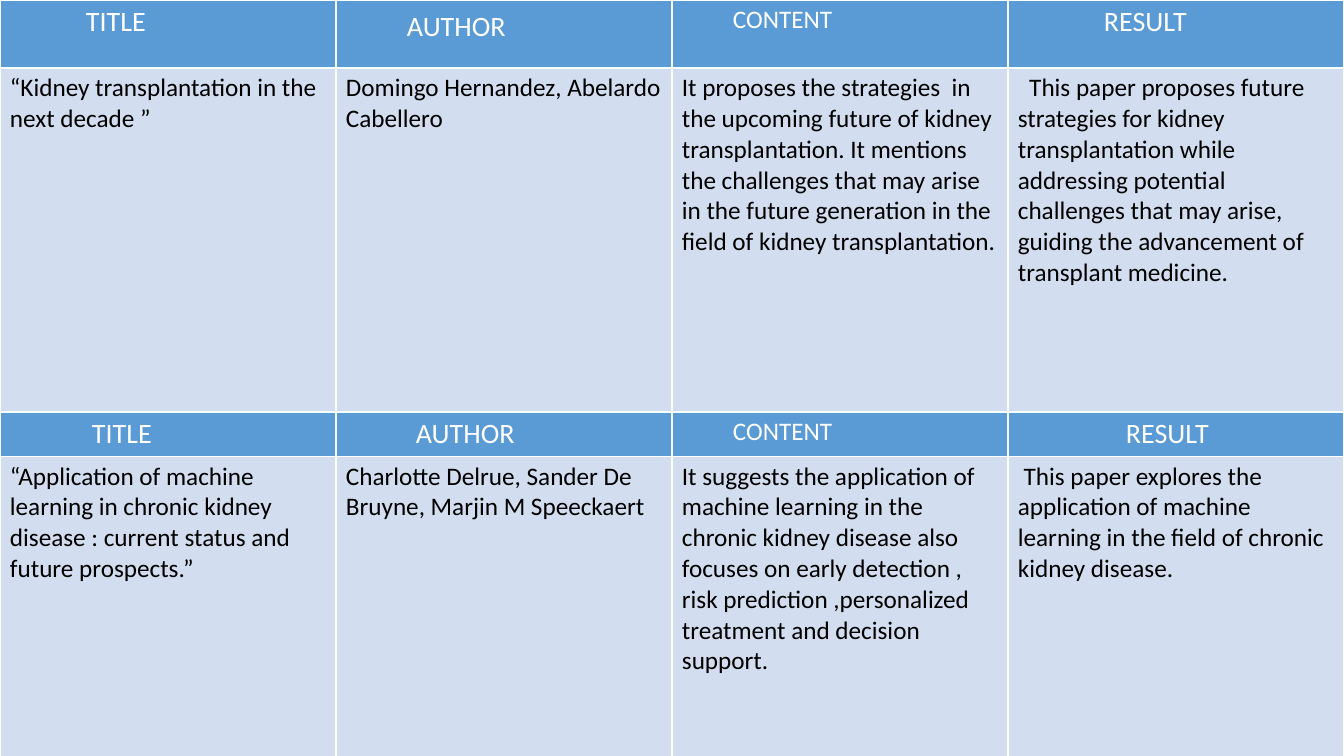
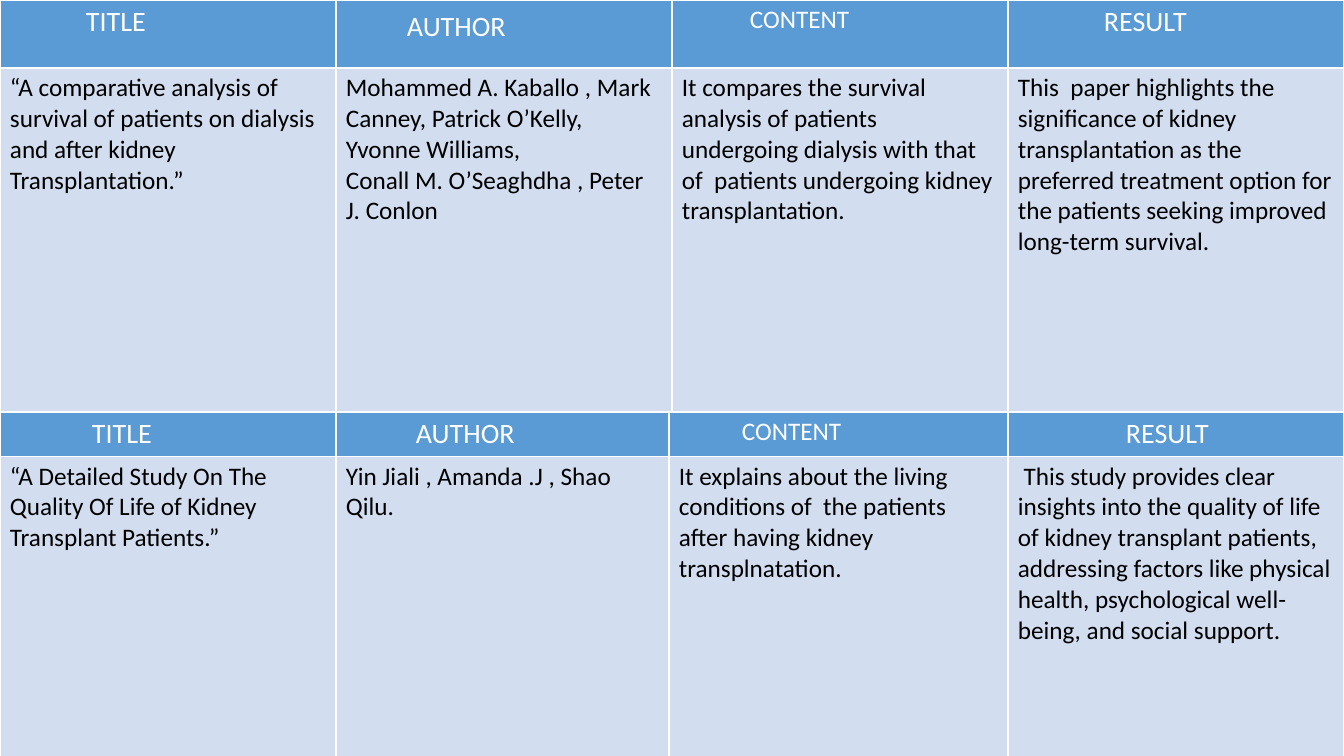
from dataclasses import dataclass

from lxml import etree
from pptx import Presentation, util as u
from pptx.dml import color
from pptx.enum import text as t
from pptx.oxml import ns


@dataclass(frozen=True)
class Theme:
    """Colours, type and spacing shared by both slides."""
    head: str = "5B9BD5"
    body: str = "D2DEEF"
    white: str = "FFFFFF"
    black: str = "000000"
    font: str = "Calibri"
    big: int = 20
    base: int = 18
    pad: int = 10
    rim: int = 5


LOOK = Theme()
WIDE, HIGH = 1344, 756
COLS = (336, 336, 336, 336)
HEADS = (("TITLE", LOOK.big), ("AUTHOR", LOOK.big),
         ("CONTENT", LOOK.base), ("RESULT", LOOK.big))
UPPER = dict(box=(0, 0, WIDE, 412), head=68, drop=(0, 5, 0, 0))
LOWER = dict(box=(0, 412, WIDE, 359), head=44, drop=(0, 0, 0, 0))

SLIDES = (
    (
        dict(UPPER, cols=COLS, dent=(76, 61, 51, 86), body=(
            "“Kidney transplantation in the next decade ”",
            "Domingo Hernandez, Abelardo Cabellero",
            "It proposes the strategies  in the upcoming future of "
            "kidney transplantation. It mentions the challenges that may "
            "arise in the future generation in the field of kidney "
            "transplantation.",
            "  This paper proposes future strategies for kidney "
            "transplantation while addressing potential challenges that "
            "may arise, guiding the advancement of transplant medicine.",
        )),
        dict(LOWER, cols=COLS, dent=(82, 70, 51, 108), body=(
            "“Application of machine learning in chronic kidney disease : "
            "current status and future prospects.”",
            "Charlotte Delrue, Sander De Bruyne, Marjin M Speeckaert",
            "It suggests the application of machine learning in the "
            "chronic kidney disease also focuses on early detection , risk "
            "prediction ,personalized treatment and decision support.",
            " This paper explores the application of machine learning in "
            "the field of chronic kidney disease.",
        )),
    ),
    (
        dict(UPPER, cols=COLS, dent=(76, 61, 68, 86), body=(
            "“A comparative analysis of survival of patients on dialysis "
            "and after kidney\nTransplantation.”",
            "Mohammed A. Kaballo , Mark Canney, Patrick O’Kelly, Yvonne "
            "Williams,\nConall M. O’Seaghdha , Peter J. Conlon",
            "It compares the survival analysis of patients undergoing "
            "dialysis with that of  patients undergoing kidney "
            "transplantation.",
            "This  paper highlights the significance of kidney "
            "transplantation as the preferred treatment option for the "
            "patients seeking improved long-term survival.",
        )),
        dict(LOWER, cols=(336, 333, 339, 336), dent=(82, 70, 63, 108), body=(
            "“A Detailed Study On The Quality Of Life of Kidney Transplant "
            "Patients.”",
            "Yin Jiali , Amanda .J , Shao Qilu.",
            "It explains about the living conditions of  the patients "
            "after having kidney transplnatation.",
            " This study provides clear insights into the quality of life "
            "of kidney transplant patients, addressing factors like "
            "physical health, psychological well-being, and social "
            "support.",
        )),
    ),
)


def px(n):
    """Turn px into EMU."""
    return u.Emu(round(n * 12192000 / WIDE))


def rgb(code):
    """Turn a hex code into a colour."""
    return color.RGBColor.from_string(code)


def write(frame, words, size=LOOK.base, ink=LOOK.black):
    """Fill a text frame with one paragraph for each line."""
    frame.word_wrap = True
    frame.text = words
    for para in frame.paragraphs:
        para.alignment = t.PP_ALIGN.LEFT
        for run in para.runs:
            font = run.font
            font.name, font.size, font.bold = LOOK.font, u.Pt(size), False
            font.color.rgb = rgb(ink)


def edge(cell):
    """Draw a thin white line on each side of a cell."""
    props = cell._tc.get_or_add_tcPr()
    for spot, side in enumerate(("lnL", "lnR", "lnT", "lnB")):
        line = etree.Element(ns.qn("a:" + side), w=str(u.Pt(1)))
        fill = etree.SubElement(line, ns.qn("a:solidFill"))
        etree.SubElement(fill, ns.qn("a:srgbClr"), val=LOOK.white)
        props.insert(spot, line)


def paint(cell, words, fill, dent=0, drop=0, **style):
    """Set a cell's text, fill, margins and edges."""
    cell.fill.solid()
    cell.fill.fore_color.rgb = rgb(fill)
    cell.vertical_anchor = t.MSO_ANCHOR.TOP
    cell.margin_left, cell.margin_right = px(LOOK.pad + dent), px(LOOK.pad)
    cell.margin_top, cell.margin_bottom = px(LOOK.rim + drop), px(LOOK.rim)
    write(cell.text_frame, words, **style)
    edge(cell)


def paper(slide, box, head, drop, cols, dent, body):
    """Place the table of one paper in its box."""
    grid = slide.shapes.add_table(2, len(cols), *map(px, box)).table
    grid.first_row = grid.horz_banding = False
    for row, tall in zip(grid.rows, (head, box[3] - head)):
        row.height = px(tall)
    for n, (name, size) in enumerate(HEADS):
        grid.columns[n].width = px(cols[n])
        paint(grid.cell(0, n), name, LOOK.head, dent[n], drop[n],
              size=size, ink=LOOK.white)
        paint(grid.cell(1, n), body[n], LOOK.body)


def main():
    """Build and save the deck."""
    deck = Presentation()
    deck.slide_width, deck.slide_height = px(WIDE), px(HIGH)
    for papers in SLIDES:
        slide = deck.slides.add_slide(deck.slide_layouts[6])
        for item in papers:
            paper(slide, **item)
    deck.save("out.pptx")


if __name__ == "__main__":
    main()
